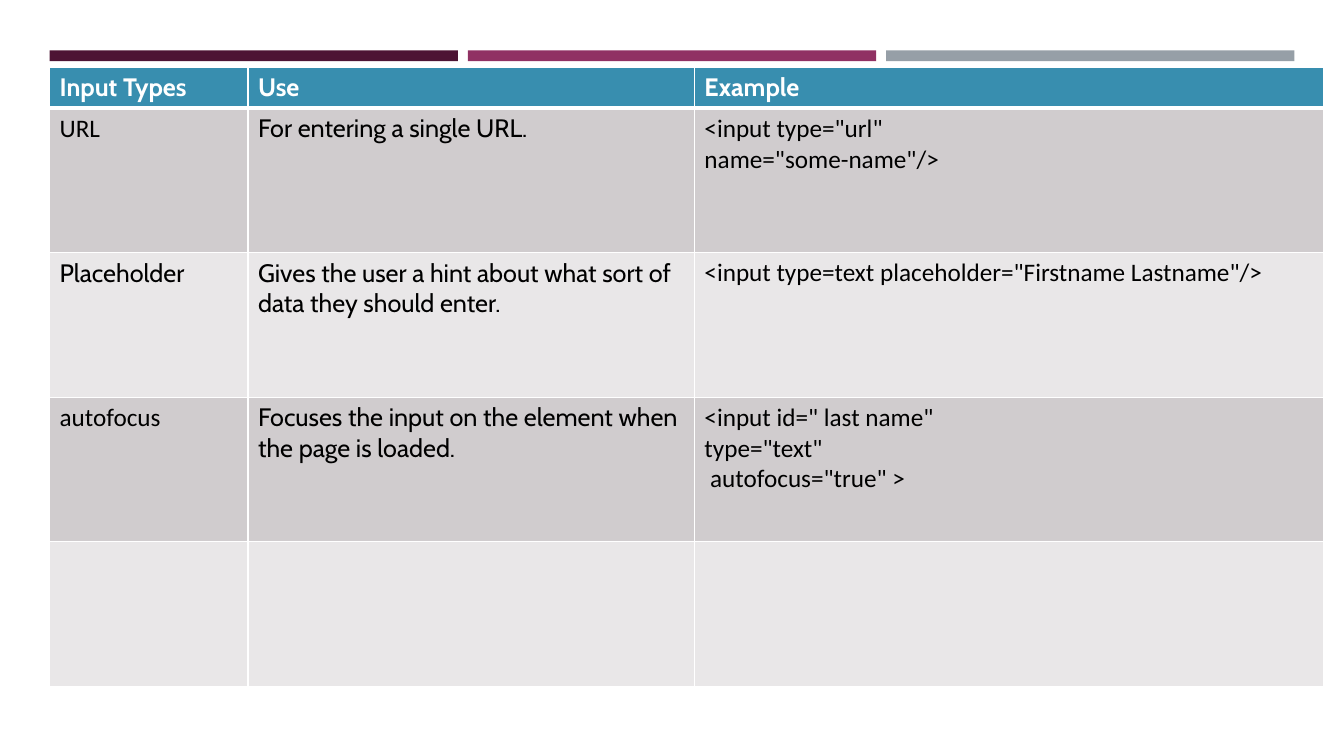
from dataclasses import dataclass

from lxml import etree
from pptx import Presentation
from pptx import util as u
from pptx.dml.color import RGBColor
from pptx.enum import shapes, text
from pptx.oxml import ns


@dataclass(frozen=True)
class Theme:
    bars: tuple = ("4D1434", "903163", "969FA7")
    header: str = "388EAF"
    bands: tuple = ("D0CCCE", "E9E7E8")
    white: str = "FFFFFF"
    ink: str = "000000"
    prose: str = "Cabin"
    code: str = "Calibri"
    size: int = 18
    rule: int = 1
    heavy_rule: int = 3


def write(frame, content, *, font, size, color, bold=False):
    frame.word_wrap = True
    for index, line in enumerate(content.split("\n")):
        paragraph = frame.add_paragraph() if index else frame.paragraphs[0]
        paragraph.alignment = text.PP_ALIGN.LEFT
        paragraph.font.size = u.Pt(size)
        if line:
            run = paragraph.add_run()
            run.text = line
            run.font.name = font
            run.font.size = u.Pt(size)
            run.font.bold = bold
            run.font.color.rgb = RGBColor.from_string(color)


class InputTypesSlide:
    """Draws the bars and the reference table in one theme."""

    def __init__(self, slide, theme):
        self.slide = slide
        self.theme = theme

    def bar(self, left, top, width, height, color):
        bar = self.slide.shapes.add_shape(
            shapes.MSO_SHAPE.RECTANGLE, *map(u.Cm, (left, top, width, height)))
        bar.shadow.inherit = False
        bar.fill.solid()
        bar.fill.fore_color.rgb = RGBColor.from_string(color)
        bar.line.fill.background()

    def borders(self, cell, **widths):
        properties = cell._tc.get_or_add_tcPr()
        for index, side in enumerate("LRTB"):
            width = widths.get(side, self.theme.rule)
            edge = etree.Element(ns.qn(f"a:ln{side}"), w=str(u.Pt(width)))
            fill = etree.SubElement(edge, ns.qn("a:solidFill"))
            etree.SubElement(fill, ns.qn("a:srgbClr"), val=self.theme.white)
            properties.insert(index, edge)

    def cell(self, cell, content, fill, edges, **style):
        cell.fill.solid()
        cell.fill.fore_color.rgb = RGBColor.from_string(fill)
        self.borders(cell, **edges)
        write(cell.text_frame, content, size=self.theme.size, **style)

    def table(self, left, top, widths, heights, headings, entries):
        theme = self.theme
        grid = self.slide.shapes.add_table(
            len(heights), len(widths),
            *map(u.Cm, (left, top, sum(widths), sum(heights)))).table
        for column, width in zip(grid.columns, widths):
            column.width = u.Cm(width)
        for row, height in zip(grid.rows, heights):
            row.height = u.Cm(height)
        for column, heading in enumerate(headings):
            self.cell(grid.cell(0, column), heading, theme.header,
                      {"B": theme.heavy_rule}, font=theme.prose,
                      color=theme.white, bold=True)
        for row, (name_font, *contents) in enumerate(entries, 1):
            band = theme.bands[(row - 1) % 2]
            edges = {"T": theme.heavy_rule} if row == 1 else {}
            fonts = (name_font, theme.prose, theme.code)
            for column, (content, font) in enumerate(zip(contents, fonts)):
                self.cell(grid.cell(row, column), content, band, edges,
                          font=font, color=theme.ink)


def main():
    theme = Theme()
    deck = Presentation()
    deck.slide_width, deck.slide_height = u.Cm(33.87), u.Cm(19.05)
    page = InputTypesSlide(deck.slides.add_slide(deck.slide_layouts[6]), theme)

    left, bar_width, bar_step = 1.25, 10.29, 10.54
    for index, color in enumerate(theme.bars):
        page.bar(left + index * bar_step, 1.27, bar_width, 0.27, color)

    entries = [
        (theme.code, "URL", "For entering a single URL.",
         '<input type="url"\nname="some-name"/>'),
        (theme.prose, "Placeholder",
         "Gives the user a hint about what sort of data they should enter.",
         '<input type=text placeholder="Firstname Lastname"/>'),
        (theme.code, "autofocus",
         "Focuses the input on the element when the page is loaded.",
         '<input id=" last name"\ntype="text"\n autofocus="true" >'),
        (theme.prose, "", "", ""),
    ]
    page.table(left, 1.7, (5, 11.25, 15.85), [1] + [3.64] * len(entries),
               ("Input Types", "Use", "Example"), entries)
    deck.save("out.pptx")


if __name__ == "__main__":
    main()
